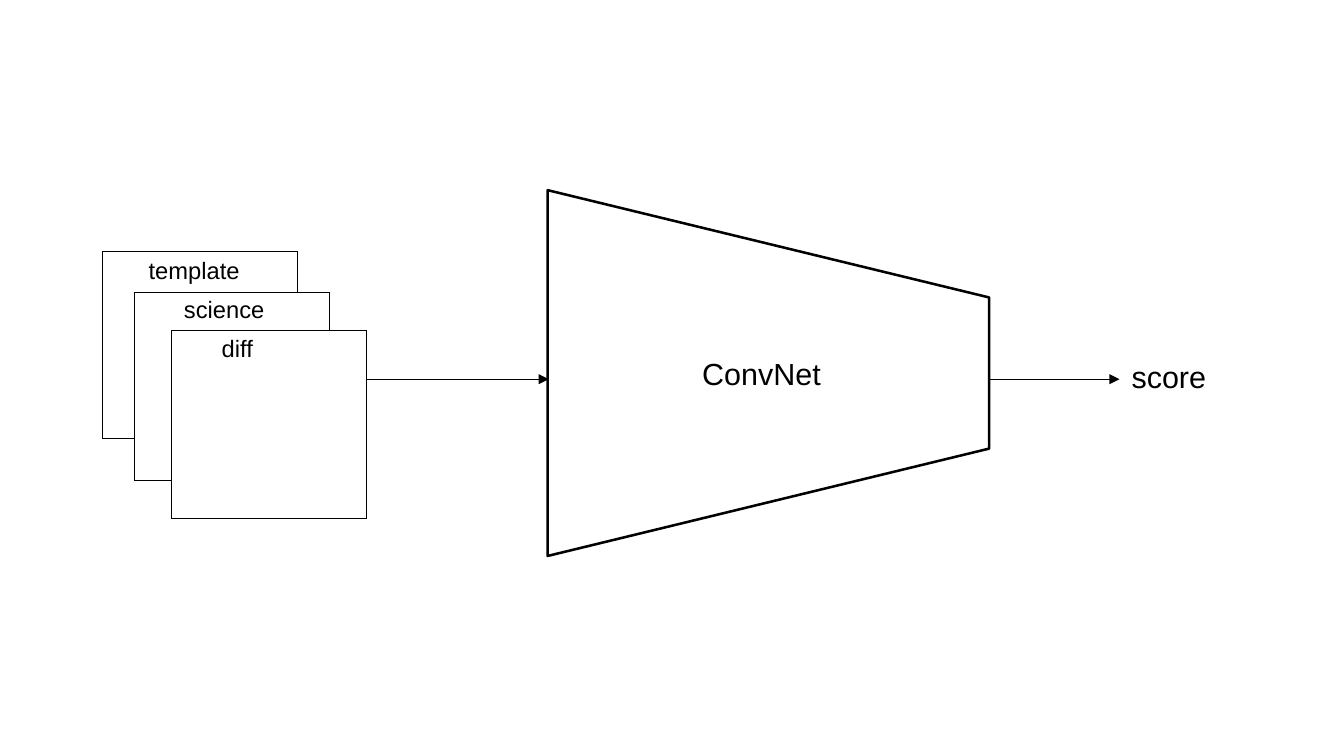
from dataclasses import dataclass

from lxml.etree import SubElement
from pptx import Presentation
from pptx.dml.color import RGBColor
from pptx.enum.shapes import MSO_CONNECTOR, MSO_SHAPE
from pptx.enum.text import MSO_AUTO_SIZE
from pptx.oxml.ns import qn
from pptx.shapes.autoshape import Shape
from pptx.slide import Slide
from pptx.util import Inches, Pt

BLACK = "000000"
WHITE = "FFFFFF"
HAIRLINE = 0.01
FLOW_Y = 3.11
FRAME_WIDTH, FRAME_HEIGHT = 1.6, 1.54


@dataclass
class Frame:
    left: float
    top: float


@dataclass
class Label:
    text: str
    left: float
    top: float
    width: float
    height: float
    size: int = 14


@dataclass
class Arrow:
    start: float
    end: float


TEMPLATE_FRAME = Frame(0.84, 2.06)
SCIENCE_FRAME = Frame(1.1, 2.4)
DIFF_FRAME = Frame(1.41, 2.71)
CONVNET_OUTLINE = [(4.49, 4.56), (4.49, 1.56), (8.11, 2.44), (8.11, 3.68)]
ARROWS = [Arrow(2.95, 4.5), Arrow(8.12, 9.18)]
LABELS = [
    Label("ConvNet", 5.66, 2.86, 1.46, 0.47, size=18),
    Label("score", 9.18, 2.89, 1.01, 0.47, size=18),
    Label("template", 1.12, 2.05, 1.22, 0.53),
    Label("science", 1.41, 2.37, 1, 0.32),
]
DIFF_LABEL = Label("diff", 1.72, 2.69, 0.6, 0.32)


def color(code: str) -> RGBColor:
    return RGBColor.from_string(code)


def style_outline(shape: Shape, weight: float) -> None:
    shape.shadow.inherit = False
    shape.fill.solid()
    shape.fill.fore_color.rgb = color(WHITE)
    shape.line.color.rgb = color(BLACK)
    shape.line.width = Pt(weight)


def draw_convnet(slide: Slide) -> None:
    start, *corners = [(Inches(x), Inches(y)) for x, y in CONVNET_OUTLINE]
    builder = slide.shapes.build_freeform(*start)
    builder.add_line_segments(corners, close=True)
    style_outline(builder.convert_to_shape(), 1.5)


def draw_frame(slide: Slide, frame: Frame) -> None:
    square = slide.shapes.add_shape(
        MSO_SHAPE.RECTANGLE, Inches(frame.left), Inches(frame.top),
        Inches(FRAME_WIDTH), Inches(FRAME_HEIGHT))
    style_outline(square, HAIRLINE)


def draw_arrow(slide: Slide, arrow: Arrow) -> None:
    flow = slide.shapes.add_connector(
        MSO_CONNECTOR.STRAIGHT, Inches(arrow.start), Inches(FLOW_Y),
        Inches(arrow.end), Inches(FLOW_Y))
    flow.line.color.rgb = color(BLACK)
    flow.line.width = Pt(HAIRLINE)
    properties = flow.element.spPr
    SubElement(properties.find(qn("a:ln")), qn("a:tailEnd"), type="triangle")
    SubElement(properties, qn("a:effectLst"))


def add_text(slide: Slide, text: str, *, left: float, top: float,
             width: float, height: float, size: int) -> None:
    box = slide.shapes.add_textbox(
        Inches(left), Inches(top), Inches(width), Inches(height))
    frame = box.text_frame
    frame.word_wrap = True
    frame.auto_size = MSO_AUTO_SIZE.SHAPE_TO_FIT_TEXT
    run = frame.paragraphs[0].add_run()
    run.text = text
    run.font.name = "Arial"
    run.font.size = Pt(size)
    run.font.color.rgb = color(BLACK)


def draw_label(slide: Slide, label: Label) -> None:
    add_text(slide, label.text, left=label.left, top=label.top,
             width=label.width, height=label.height, size=label.size)


def main() -> None:
    """Build the slide showing three image frames scored by a ConvNet."""
    deck = Presentation()
    deck.slide_width = Inches(11.02)
    deck.slide_height = Inches(6.2)
    slide = deck.slides.add_slide(deck.slide_layouts[6])
    draw_convnet(slide)
    for frame in (TEMPLATE_FRAME, SCIENCE_FRAME):
        draw_frame(slide, frame)
    for arrow in ARROWS:
        draw_arrow(slide, arrow)
    for label in LABELS:
        draw_label(slide, label)
    draw_frame(slide, DIFF_FRAME)
    draw_label(slide, DIFF_LABEL)
    deck.save("out.pptx")


if __name__ == "__main__":
    main()
